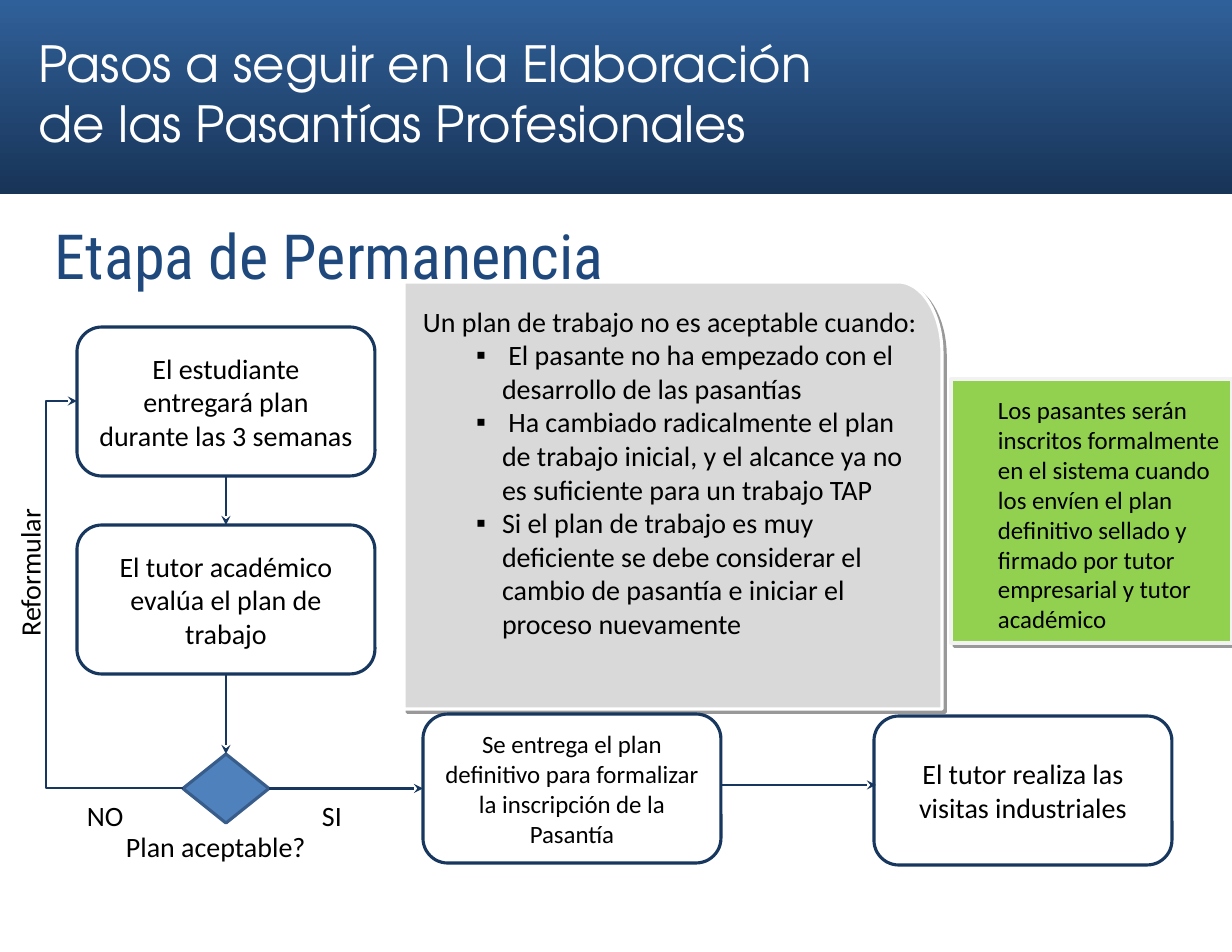
from math import cos, pi, sin

from lxml.etree import SubElement
from pptx import Presentation
from pptx.dml.color import RGBColor as Rgb
from pptx.enum.shapes import MSO_CONNECTOR as Con, MSO_SHAPE as Geo
from pptx.enum.text import MSO_ANCHOR as Anchor, MSO_AUTO_SIZE as Fit, PP_ALIGN as Align
from pptx.oxml.ns import qn
from pptx.util import Emu, Pt

HUES = {
    "navy": "17375E", "blue": "4F81BD", "edge": "385D8A", "head": "1F497D",
    "dark": "183457", "light": "306099", "gray": "D9D9D9", "green": "92D050",
    "pale": "F2F2F2", "white": "FFFFFF", "black": "000000",
}


def px(n):
    return Emu(round(n * 914400 / 112))


def hue(name):
    return Rgb.from_string(HUES[name])


class Deck:
    font = "Calibri"
    size = 18

    def __init__(self, wide, high):
        self.prs = Presentation()
        self.prs.slide_width, self.prs.slide_height = px(wide), px(high)
        self.slide = self.prs.slides.add_slide(self.prs.slide_layouts[1])
        self.shapes = self.slide.shapes

    def paint(self, shape, fill, line=None):
        shape.shadow.inherit = False
        shape.fill.solid()
        shape.fill.fore_color.rgb = hue(fill)
        if line:
            shape.line.color.rgb = hue(line)
            shape.line.width = Pt(2)
        else:
            shape.line.fill.background()
        return shape

    def letter(self, shape, lines, size=None, font=None, color="black",
               align=Align.LEFT, anchor=Anchor.TOP):
        frame = shape.text_frame
        frame.word_wrap, frame.auto_size = True, Fit.NONE
        frame.vertical_anchor = anchor
        frame.margin_left = frame.margin_right = px(12)
        frame.margin_top = frame.margin_bottom = px(7)
        for i, line in enumerate(lines):
            para = frame.add_paragraph() if i else frame.paragraphs[0]
            para.alignment, para.space_before = align, Pt(0)
            run = para.add_run()
            run.text = line
            run.font.size = Pt(size or self.size)
            run.font.name = font or self.font
            run.font.color.rgb = hue(color)
        return shape

    def shape(self, geo, box, fill, line=None):
        return self.paint(self.shapes.add_shape(geo, *map(px, box)), fill, line)

    def step(self, left, top, text, size=None):
        box = self.shape(Geo.ROUNDED_RECTANGLE, (left, top, 298, 149), "white", "navy")
        return self.letter(box, [text], size, align=Align.CENTER, anchor=Anchor.MIDDLE)

    def label(self, box, text, turn=0, **style):
        item = self.shapes.add_textbox(*map(px, box))
        item.rotation = turn
        return self.letter(item, [text], **style)

    def holder(self, item, box, lines, **style):
        item.left, item.top, item.width, item.height = map(px, box)
        tree = item.element.getparent()
        tree.append(item.element)  # bring to front
        return self.letter(item, lines, **style)

    def bullet(self, para, mark=None):
        props = para._p.get_or_add_pPr()
        props.set("marL", str(px(79) if mark else 0))
        props.set("indent", str(px(-26) if mark else 0))
        if mark:
            tint = SubElement(props, qn("a:buClr"))
            SubElement(tint, qn("a:srgbClr"), val=HUES["black"])
            SubElement(props, qn("a:buFont"), typeface="Arial")
            SubElement(props, qn("a:buChar"), char=mark)
        else:
            SubElement(props, qn("a:buNone"))

    def shade(self, shape):
        fx = shape.element.spPr.find(qn("a:effectLst"))
        drop = SubElement(fx, qn("a:outerShdw"), dist=str(Pt(3)), dir="2700000",
                          algn="tl", rotWithShape="0")
        tint = SubElement(drop, qn("a:srgbClr"), val=HUES["black"])
        SubElement(tint, qn("a:alpha"), val="40000")

    def card(self, left, top, wide, high, rx, ry):
        """Panel with one elliptic corner at the top right."""
        right, low, steps = left + wide, top + high, 16
        turns = [pi / 2 * i / steps for i in range(steps + 1)]
        arc = [(px(right - rx + rx * sin(t)), px(top + ry - ry * cos(t))) for t in turns]
        pen = self.shapes.build_freeform(px(left), px(top))
        pen.add_line_segments(arc + [(px(right), px(low)), (px(left), px(low))])
        return self.paint(pen.convert_to_shape(), "gray", "white")

    def arrow(self, start, end, kind=Con.STRAIGHT):
        line = self.shapes.add_connector(kind, *map(px, start + end))
        line.line.color.rgb = hue("navy")
        line.line.width = Pt(1.5)
        props = line.element.spPr
        SubElement(props.find(qn("a:ln")), qn("a:tailEnd"), type="stealth")
        SubElement(props, qn("a:effectLst"))
        return line

    def link(self, start, out, end, side):
        line = self.arrow((0, 0), (0, 0))
        line.begin_connect(start, out)
        line.end_connect(end, side)


def main():
    deck = Deck(1232, 952)
    title, body = deck.slide.placeholders

    # Header band and title
    band = deck.shape(Geo.RECTANGLE, (0, 0, 1232, 194), "dark")
    band.fill.gradient()
    band.fill.gradient_angle = 90
    for stop, name in zip(band.fill.gradient_stops, ("dark", "light")):
        stop.color.rgb = hue(name)
    deck.holder(title, (26, 26, 1164, 133),
                ["Pasos a seguir en la Elaboración", "de las Pasantías Profesionales"],
                size=32, font="TeX Gyre Adventor", color="white")

    # Steps and decision
    plan = deck.step(77, 327, "El estudiante entregará plan durante las 3 semanas")
    tutor = deck.step(77, 525, "El tutor académico evalúa el plan de trabajo")
    test = deck.shape(Geo.FLOWCHART_DECISION, (183, 754, 86, 69), "blue", "edge")

    # Panel of reasons
    deck.shade(deck.card(404, 282, 538, 427, 44, 71))
    deck.holder(body, (411, 297, 520, 416), [
        "Un plan de trabajo no es aceptable cuando:",
        " El pasante no ha empezado con el desarrollo de las pasantías",
        " Ha cambiado radicalmente el plan de trabajo inicial, y el alcance ya no "
        "es suficiente para un trabajo TAP",
        "Si el plan de trabajo es muy deficiente se debe considerar el cambio de "
        "pasantía e iniciar el proceso nuevamente",
    ])
    for i, para in enumerate(body.text_frame.paragraphs):
        deck.bullet(para, "▪" if i else None)
    deck.label((43, 216, 1189, 78), "Etapa de Permanencia", size=40,
               font="Roboto Condensed", color="head", anchor=Anchor.MIDDLE)

    # Final steps
    entry = deck.step(423, 714, "Se entrega el plan definitivo para formalizar "
                      "la inscripción de la Pasantía", 16)
    deck.step(874, 716, "El tutor realiza las visitas industriales")

    # Arrows
    deck.link(plan, 2, tutor, 0)
    deck.link(tutor, 2, test, 0)
    deck.link(test, 3, entry, 1)
    deck.arrow((721, 785), (876, 785))
    loop = deck.arrow((183, 788), (77, 401), Con.ELBOW)
    guide = loop.element.spPr.find(qn("a:prstGeom")).find(qn("a:avLst"))
    SubElement(guide, qn("a:gd"), name="adj1", fmla="val 129100")

    # Flow labels
    deck.label((75, 792, 68, 46), "NO")
    deck.label((310, 792, 50, 46), "SI")
    deck.label((114, 823, 230, 46), "Plan aceptable?")
    deck.label((-59, 538, 175, 46), "Reformular", 270)

    # Green note
    deck.shade(deck.shape(Geo.RECTANGLE, (951, 379, 281, 264), "green", "pale"))
    deck.label((986, 388, 246, 280), "Los pasantes serán inscritos formalmente en el "
               "sistema cuando los envíen el plan definitivo sellado y firmado por "
               "tutor empresarial y tutor académico", size=16)

    deck.prs.save("out.pptx")


if __name__ == "__main__":
    main()
